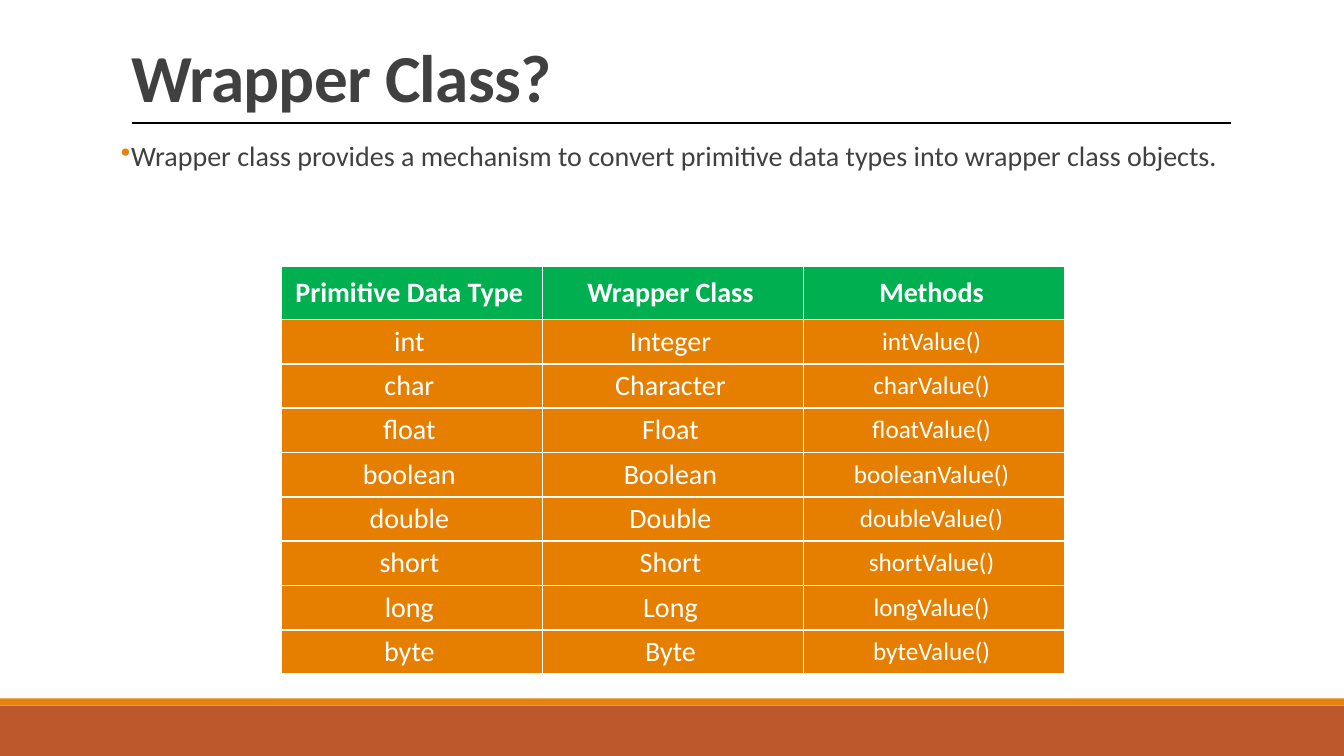
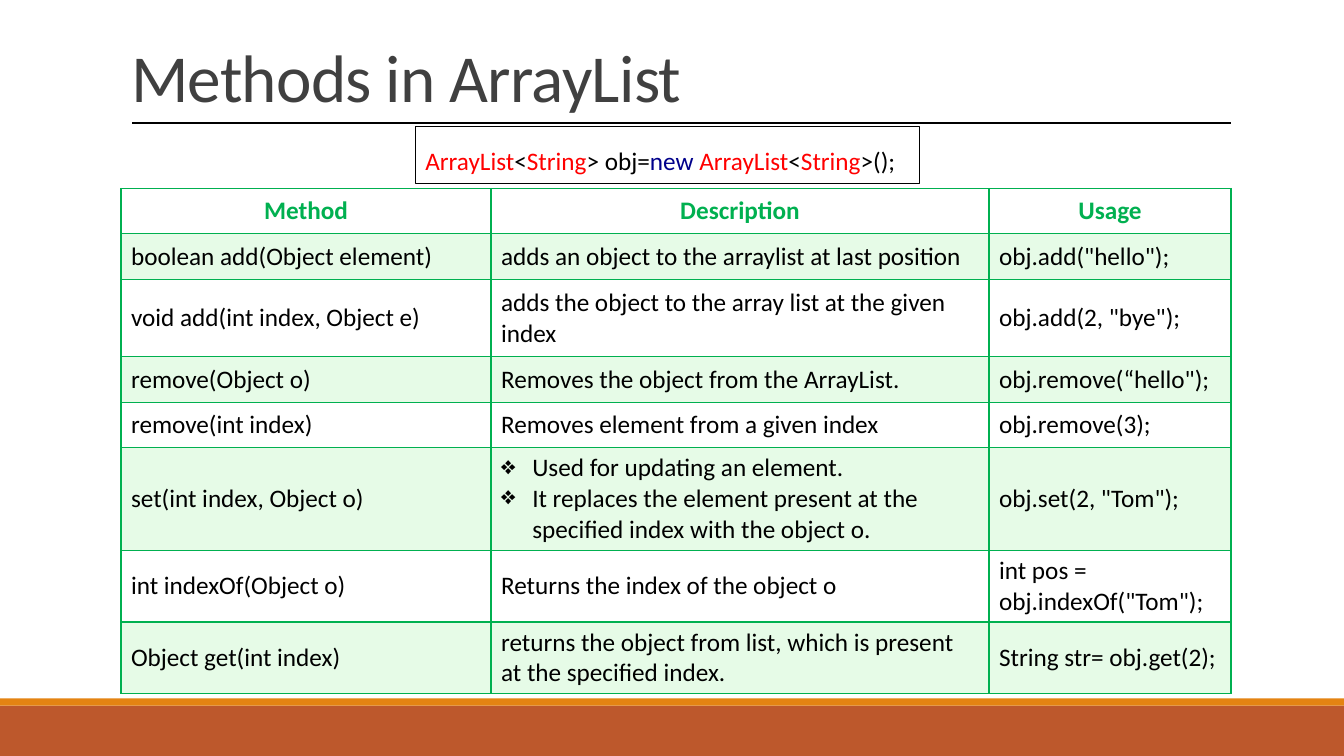
from lxml import etree
from pptx import Presentation
from pptx.dml.color import RGBColor
from pptx.enum.shapes import MSO_CONNECTOR as Connector, MSO_SHAPE as Shape
from pptx.enum.text import MSO_ANCHOR as Anchor, MSO_AUTO_SIZE as AutoSize, PP_ALIGN as Align
from pptx.oxml.ns import qn
from pptx.util import Inches, Pt

FONT = "Calibri"
WHITE, BLACK, GREY = "FFFFFF", "000000", "404040"
RUST, ORANGE, CELL_ORANGE = "BD582C", "E48312", "E67E00"
GREEN, PALE_GREEN = "00B050", "85EF8A"
RED, NAVY = "FF0000", "00008B"
LEFT, CONTENT_WIDTH = 1.2, 11
BANDS = [(7, 0.5, RUST), (6.93, 0.07, ORANGE)]

WRAPPER_INTRO = ("Wrapper class provides a mechanism to convert primitive data types "
                 "into wrapper class objects.")
WRAPPER_HEADER = ("Primitive Data Type", "Wrapper Class", "Methods")
WRAPPERS = [
    ("int", "Integer"), ("char", "Character"), ("float", "Float"), ("boolean", "Boolean"),
    ("double", "Double"), ("short", "Short"), ("long", "Long"), ("byte", "Byte"),
]

DECLARATION = [
    ("ArrayList", RED), ("<", BLACK), ("String", RED), ("> obj=", BLACK), ("new ", NAVY),
    ("ArrayList", RED), ("<", BLACK), ("String", RED), (">();", BLACK),
]
METHOD_HEADER = ("Method", "Description", "Usage")
METHODS = [
    ("boolean add(Object element)", "adds an object to the arraylist at last position",
     'obj.add("hello");'),
    ("void add(int index, Object e)", "adds the object to the array list at the given index",
     'obj.add(2, "bye");'),
    ("remove(Object o)", "Removes the object from the ArrayList.", 'obj.remove(“hello");'),
    ("remove(int index)", "Removes element from a given index", "obj.remove(3);"),
    ("set(int index, Object o)",
     ["Used for updating an element.",
      "It replaces the element present at the specified index with the object o."],
     'obj.set(2, "Tom");'),
    ("int indexOf(Object o)", "Returns the index of the object o",
     'int pos = obj.indexOf("Tom");'),
    ("Object get(int index)",
     "returns the object from list, which is present at the specified index.",
     "String str= obj.get(2);"),
]
METHOD_COLUMNS = [3.67, 4.94, 2.4]
METHOD_ROWS = [0.45, 0.45, 0.77, 0.45, 0.45, 1.02, 0.71, 0.71]


def rgb(value):
    return RGBColor.from_string(value)


def add_run(paragraph, text, size, color, bold=False):
    run = paragraph.add_run()
    run.text = text
    font = run.font
    font.name, font.size, font.bold = FONT, Pt(size), bold
    font.color.rgb = rgb(color)
    return run


def add_bullet(paragraph, character, indent, color=None):
    properties = paragraph._p.get_or_add_pPr()
    properties.set("marL", str(Inches(indent)))
    properties.set("indent", str(-Inches(indent)))
    if color:
        bullet_color = etree.SubElement(properties, qn("a:buClr"))
        etree.SubElement(bullet_color, qn("a:srgbClr"), val=color)
    etree.SubElement(properties, qn("a:buChar"), char=character)


def set_borders(cell, color, width):
    properties = cell._tc.get_or_add_tcPr()
    for position, side in enumerate(("lnL", "lnR", "lnT", "lnB")):
        line = etree.Element(qn(f"a:{side}"), w=str(Pt(width)))
        fill = etree.SubElement(line, qn("a:solidFill"))
        etree.SubElement(fill, qn("a:srgbClr"), val=color)
        properties.insert(position, line)


def fill_cell(cell, color, opacity=100):
    if color is None:
        cell.fill.background()
        return
    cell.fill.solid()
    cell.fill.fore_color.rgb = rgb(color)
    if opacity < 100:
        color_element = cell._tc.tcPr.find(".//" + qn("a:srgbClr"))
        etree.SubElement(color_element, qn("a:alpha"), val=str(opacity * 1000))


def write_cell(cell, content, size, color, bold=False, align=Align.LEFT):
    """Write a string as one paragraph, or a list as bulleted paragraphs."""
    cell.vertical_anchor = Anchor.MIDDLE
    bulleted = isinstance(content, list)
    frame = cell.text_frame
    for index, text in enumerate(content if bulleted else [content]):
        paragraph = frame.add_paragraph() if index else frame.paragraphs[0]
        if bulleted:
            add_bullet(paragraph, "❖", 0.31)
        paragraph.alignment = align
        add_run(paragraph, text, size, color, bold)


def add_table(slide, left, top, columns, rows):
    frame = slide.shapes.add_table(len(rows), len(columns), Inches(left), Inches(top),
                                   Inches(sum(columns)), Inches(sum(rows)))
    table = frame.table
    for column, width in zip(table.columns, columns):
        column.width = Inches(width)
    for row, height in zip(table.rows, rows):
        row.height = Inches(height)
    return table


def draw_frame(slide, layout):
    """Draw the bands and title rule, then move them to the shared layout."""
    for placeholder in list(layout.placeholders):
        if placeholder.placeholder_format.idx != 0:
            layout.shapes.element.remove(placeholder.element)
    for top, height, color in BANDS:
        band = slide.shapes.add_shape(Shape.RECTANGLE, 0, Inches(top),
                                      Inches(13.33), Inches(height))
        band.shadow.inherit = False
        band.fill.solid()
        band.fill.fore_color.rgb = rgb(color)
        band.line.fill.background()
        layout.shapes.element.append(band.element)
    rule = slide.shapes.add_connector(Connector.STRAIGHT, Inches(1.31), Inches(1.22),
                                      Inches(12.21), Inches(1.22))
    rule.line.color.rgb = rgb(BLACK)
    rule.line.width = Pt(1)
    etree.SubElement(rule.element.spPr, qn("a:effectLst"))
    layout.shapes.element.append(rule.element)


def add_titled_slide(presentation, layout, text, bold=False):
    slide = presentation.slides.add_slide(layout)
    title = slide.shapes.title
    title.left, title.top = Inches(LEFT), Inches(0.25)
    title.width, title.height = Inches(CONTENT_WIDTH), Inches(0.95)
    frame = title.text_frame
    frame.vertical_anchor = Anchor.BOTTOM
    frame.auto_size = AutoSize.NONE
    paragraph = frame.paragraphs[0]
    paragraph.alignment = Align.LEFT
    paragraph.line_spacing = 0.85
    run = add_run(paragraph, text, 48, GREY, bold)
    run._r.get_or_add_rPr().set("spc", "-50")
    return slide


def fill_wrapper_slide(slide):
    box = slide.shapes.add_textbox(Inches(LEFT), Inches(1.36), Inches(CONTENT_WIDTH), Inches(0.6))
    frame = box.text_frame
    frame.word_wrap = True
    frame.margin_left = frame.margin_right = 0
    paragraph = frame.paragraphs[0]
    add_bullet(paragraph, "•", 0.1, ORANGE)
    paragraph.line_spacing = 0.9
    add_run(paragraph, WRAPPER_INTRO, 20, GREY)

    rows = [WRAPPER_HEADER] + [(name, wrapper, f"{name}Value()") for name, wrapper in WRAPPERS]
    table = add_table(slide, 2.79, 2.64, [2.59] * 3, [0.53] + [0.44] * len(WRAPPERS))
    for row_index, row in enumerate(rows):
        header = row_index == 0
        for column_index, text in enumerate(row):
            cell = table.cell(row_index, column_index)
            cell.margin_left = Inches(0.05)
            size = 18 if column_index == 2 and not header else 20
            write_cell(cell, text, size, WHITE, header, Align.CENTER)
            fill_cell(cell, GREEN if header else CELL_ORANGE)
            set_borders(cell, WHITE, 1.5)


def fill_methods_slide(slide):
    table = add_table(slide, LEFT, 1.87, METHOD_COLUMNS, METHOD_ROWS)
    for row_index, row in enumerate([METHOD_HEADER] + METHODS):
        header = row_index == 0
        for column_index, content in enumerate(row):
            cell = table.cell(row_index, column_index)
            write_cell(cell, content, 18, GREEN if header else BLACK, header,
                       Align.CENTER if header else Align.LEFT)
            fill_cell(cell, PALE_GREEN if row_index % 2 else None, 20)
            set_borders(cell, GREEN, 1)

    box = slide.shapes.add_shape(Shape.RECTANGLE, Inches(4.12), Inches(1.25), Inches(5), Inches(0.57))
    box.shadow.inherit = False
    box.fill.background()
    box.line.color.rgb = rgb(BLACK)
    box.line.width = Pt(0.25)
    frame = box.text_frame
    frame.word_wrap = False
    frame.auto_size = AutoSize.SHAPE_TO_FIT_TEXT
    paragraph = frame.paragraphs[0]
    paragraph.alignment = Align.LEFT
    for text, color in DECLARATION:
        add_run(paragraph, text, 18, color)
    add_run(paragraph, " ", 28, BLACK)


def main():
    presentation = Presentation()
    presentation.slide_width, presentation.slide_height = Inches(13.33), Inches(7.5)
    layout = presentation.slide_layouts[5]
    wrapper_slide = add_titled_slide(presentation, layout, "Wrapper Class?", bold=True)
    draw_frame(wrapper_slide, layout)
    fill_wrapper_slide(wrapper_slide)
    fill_methods_slide(add_titled_slide(presentation, layout, "Methods in ArrayList"))
    presentation.save("out.pptx")


if __name__ == "__main__":
    main()
